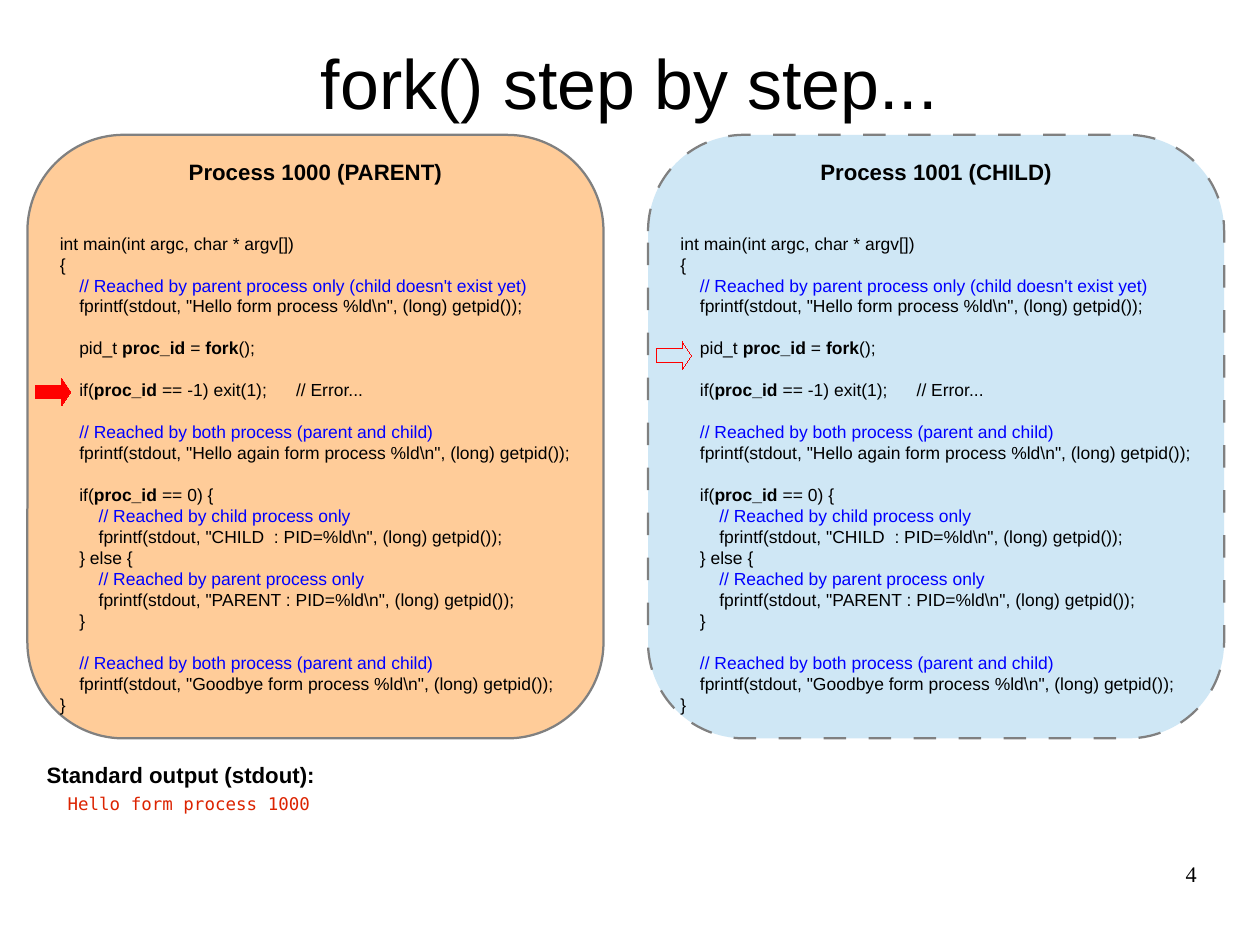
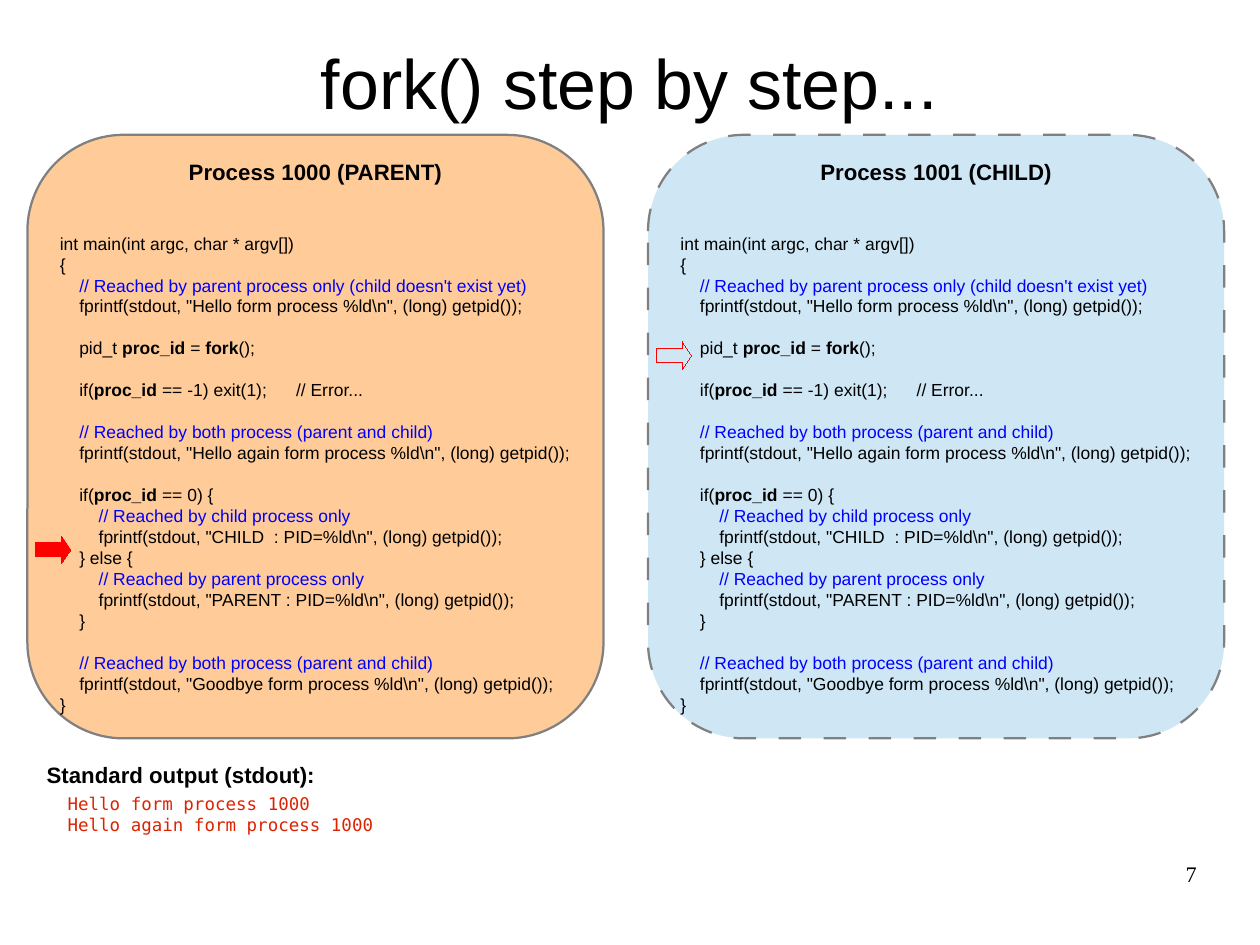
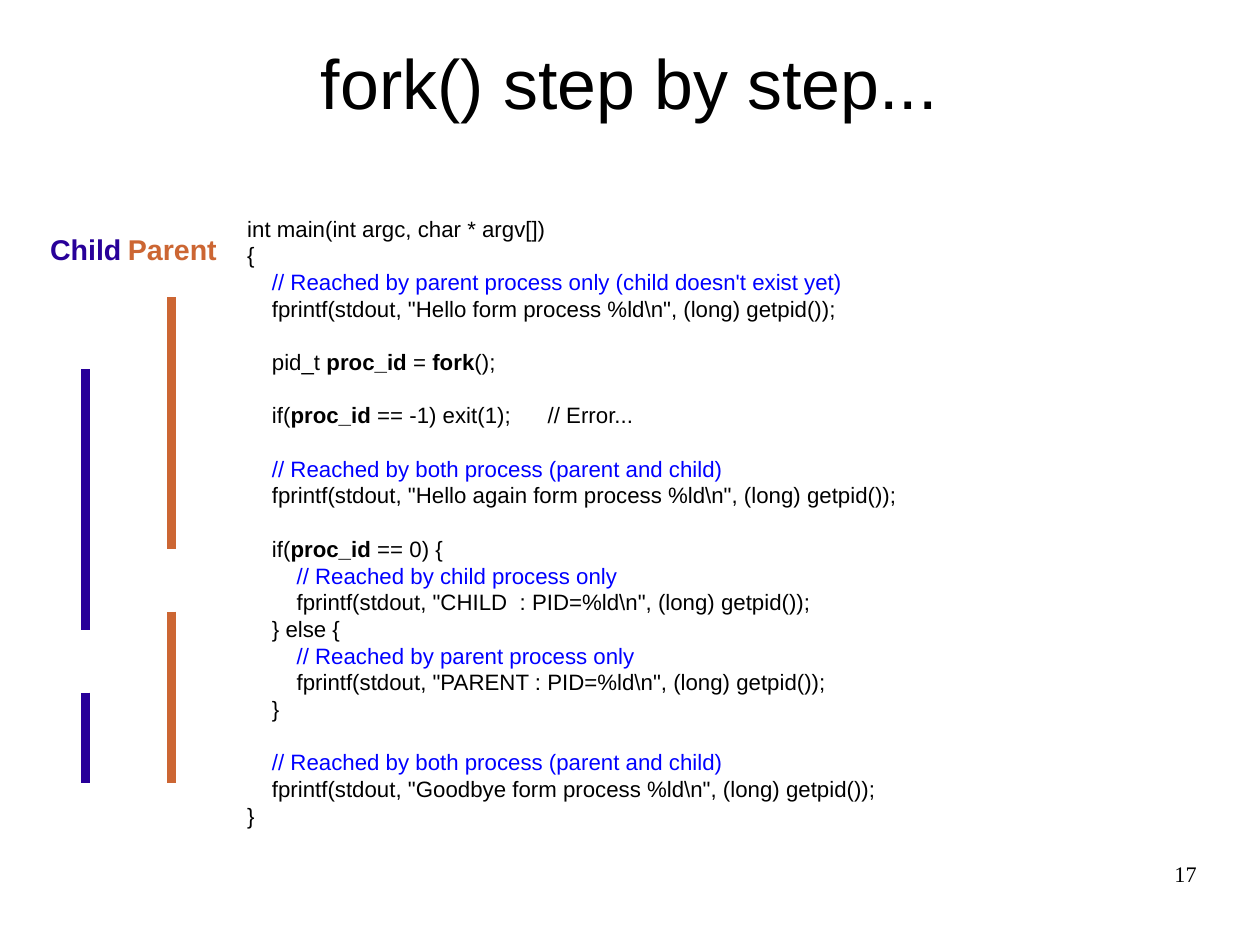
from dataclasses import dataclass
from lxml import etree
from pptx import Presentation
from pptx.dml.color import RGBColor
from pptx.enum import shapes, text
from pptx.oxml.ns import qn
from pptx.util import Inches, Pt


@dataclass(frozen=True)
class Theme:
    sans: str = "Arial"
    mono: str = "DejaVu Sans Mono"
    serif: str = "Times New Roman"
    ink: str = "000000"
    paper: str = "FFFFFF"
    comment: str = "0000FF"
    output: str = "DC2300"
    border: str = "808080"
    pointer: str = "FF0000"
    parent_panel: str = "FFCC99"
    child_panel: str = "CFE7F5"
    parent: str = "CC6633"
    child: str = "280099"
    title: int = 44
    label: int = 18
    heading: int = 14
    code: int = 11
    pitch: float = 1.2
    space: float = 0.278
    mono_space: float = 0.6


theme = Theme()

PROGRAM = r"""int main(int argc, char * argv[])
{
    // Reached by parent process only (child doesn't exist yet)
    fprintf(stdout, "Hello form process %ld\n", (long) getpid());

    pid_t **proc_id** = **fork**();

    if(**proc_id** == -1) exit(1);      // Error...

    // Reached by both process (parent and child)
    fprintf(stdout, "Hello again form process %ld\n", (long) getpid());

    if(**proc_id** == 0) {
        // Reached by child process only
        fprintf(stdout, "CHILD  : PID=%ld\n", (long) getpid());
    } else {
        // Reached by parent process only
        fprintf(stdout, "PARENT : PID=%ld\n", (long) getpid());
    }

    // Reached by both process (parent and child)
    fprintf(stdout, "Goodbye form process %ld\n", (long) getpid());
}""".split("\n")


def add_run(paragraph, words, size, color=theme.ink, bold=False, face=theme.sans):
    run = paragraph.add_run()
    run.text = words
    run.font.size = Pt(size)
    run.font.name = face
    run.font.bold = bold
    run.font.color.rgb = RGBColor.from_string(color)


def add_program(frame, size, paragraph, gap=0):
    frame.margin_left = frame.margin_right = Inches(0.11)
    frame.margin_top = frame.margin_bottom = Inches(0.06)
    frame.vertical_anchor = text.MSO_ANCHOR.MIDDLE
    for line in PROGRAM:
        if not line:
            gap = theme.pitch * size
            continue
        paragraph = paragraph or frame.add_paragraph()
        statement = line.lstrip()
        indent = (len(line) - len(statement)) * theme.space * size
        paragraph.alignment = text.PP_ALIGN.LEFT
        paragraph.line_spacing = Pt(theme.pitch * size)
        paragraph.space_before = Pt(gap)
        paragraph._p.get_or_add_pPr().set("marL", str(Pt(indent)))
        color = theme.comment if statement.startswith("//") else theme.ink
        for index, part in enumerate(statement.split("**")):
            add_run(paragraph, part, size, color, bold=index % 2 == 1)
        paragraph, gap = None, 0


prs = Presentation()
prs.slide_width, prs.slide_height = Inches(28 / 2.54), Inches(21 / 2.54)

pages = {}
for number in (4, 7, 17):
    page = pages[number] = prs.slides.add_slide(prs.slide_layouts[5])
    title = page.shapes.title
    title.left, title.top = Inches(0.55), Inches(0.33)
    title.width, title.height = Inches(9.92), Inches(0.77)
    frame = title.text_frame
    frame.margin_left = frame.margin_right = frame.margin_top = frame.margin_bottom = 0
    frame.vertical_anchor = text.MSO_ANCHOR.MIDDLE
    frame.paragraphs[0].alignment = text.PP_ALIGN.CENTER
    add_run(frame.paragraphs[0], "fork() step by step...", theme.title)

    folio = page.shapes.add_textbox(Inches(7.9), Inches(7.53), Inches(2.57), Inches(0.57)).text_frame
    folio.margin_left = folio.margin_right = folio.margin_top = folio.margin_bottom = 0
    folio.word_wrap = True
    folio.paragraphs[0].alignment = text.PP_ALIGN.RIGHT
    add_run(folio.paragraphs[0], str(number), theme.heading, face=theme.serif)

steps = [
    (4, 3.31, ["Hello form process 1000"]),
    (7, 4.69, ["Hello form process 1000", "Hello again form process 1000"]),
]
for number, parent_top, printed in steps:
    page = pages[number]
    processes = [
        ("Process 1000 (PARENT)", 0.24, theme.parent_panel, True, parent_top),
        ("Process 1001 (CHILD)", 5.67, theme.child_panel, False, 2.99),
    ]
    for heading, left, fill, running, pointer_top in processes:
        panel = page.shapes.add_shape(
            shapes.MSO_SHAPE.ROUNDED_RECTANGLE, Inches(left), Inches(1.18), Inches(5.04), Inches(5.28))
        panel.shadow.inherit = False
        panel.adjustments[0] = 0.167
        panel.fill.solid()
        panel.fill.fore_color.rgb = RGBColor.from_string(fill)
        panel.line.color.rgb = RGBColor.from_string(theme.border)
        panel.line.width = Pt(1.42)
        frame = panel.text_frame
        frame.word_wrap = False
        frame.paragraphs[0].alignment = text.PP_ALIGN.CENTER
        frame.paragraphs[0].line_spacing = Pt(theme.pitch * theme.heading)
        add_run(frame.paragraphs[0], heading, theme.heading, bold=True)
        add_program(frame, theme.code, None, theme.pitch * (theme.heading + theme.code))

        pointer = page.shapes.add_shape(
            shapes.MSO_SHAPE.RIGHT_ARROW, Inches(left + 0.07), Inches(pointer_top), Inches(0.31), Inches(0.24))
        pointer.shadow.inherit = False
        pointer.adjustments[1] = 0.333
        pointer.line.color.rgb = RGBColor.from_string(theme.pointer)
        pointer.line._get_or_add_ln().set("w", "0")
        if running:
            pointer.fill.solid()
            pointer.fill.fore_color.rgb = RGBColor.from_string(theme.pointer)
        else:
            pointer.fill.background()
            dashes = etree.SubElement(panel.line._get_or_add_ln(), qn("a:custDash"))
            etree.SubElement(dashes, qn("a:ds"), d="1000000", sp="1000000")

    stdout = page.shapes.add_textbox(Inches(0.31), Inches(6.61), Inches(10.47), Inches(1.34)).text_frame
    stdout.word_wrap = True
    add_run(stdout.paragraphs[0], "Standard output (stdout):", theme.heading, bold=True)
    stdout.paragraphs[0].line_spacing = Pt(theme.pitch * theme.heading)
    stdout.paragraphs[0].space_after = Pt(3.6)
    for line in printed:
        paragraph = stdout.add_paragraph()
        paragraph.line_spacing = Pt(theme.pitch * theme.code)
        paragraph._p.get_or_add_pPr().set("marL", str(Pt(2 * theme.mono_space * theme.code)))
        add_run(paragraph, line, theme.code, theme.output, face=theme.mono)

summary = pages[17]
listing = summary.shapes.add_shape(
    shapes.MSO_SHAPE.ROUNDED_RECTANGLE, Inches(1.73), Inches(1.26), Inches(7.48), Inches(6.61))
listing.shadow.inherit = False
listing.adjustments[0] = 0.167
listing.fill.background()
listing.line.color.rgb = RGBColor.from_string(theme.paper)
listing.line.width = Pt(1.42)
listing.text_frame.word_wrap = True
add_program(listing.text_frame, theme.heading, listing.text_frame.paragraphs[0])

lifelines = [
    ("Child", 0.34, 0.86, theme.child, 0.75, [(3.23, 5.51), (6.06, 6.85)]),
    ("Parent", 1.02, 0.98, theme.parent, 1.5, [(2.6, 4.8), (5.35, 6.85)]),
]
for name, left, width, color, x, spans in lifelines:
    label = summary.shapes.add_textbox(Inches(left), Inches(1.98), Inches(width), Inches(0.38)).text_frame
    label.word_wrap = False
    add_run(label.paragraphs[0], name, theme.label, color, bold=True)
    for start, end in spans:
        lifeline = summary.shapes.add_connector(
            shapes.MSO_CONNECTOR.STRAIGHT, Inches(x), Inches(start), Inches(x), Inches(end))
        lifeline.line.color.rgb = RGBColor.from_string(color)
        lifeline.line.width = Pt(5.67)
        etree.SubElement(lifeline._element.spPr, qn("a:effectLst"))

prs.save("out.pptx")
